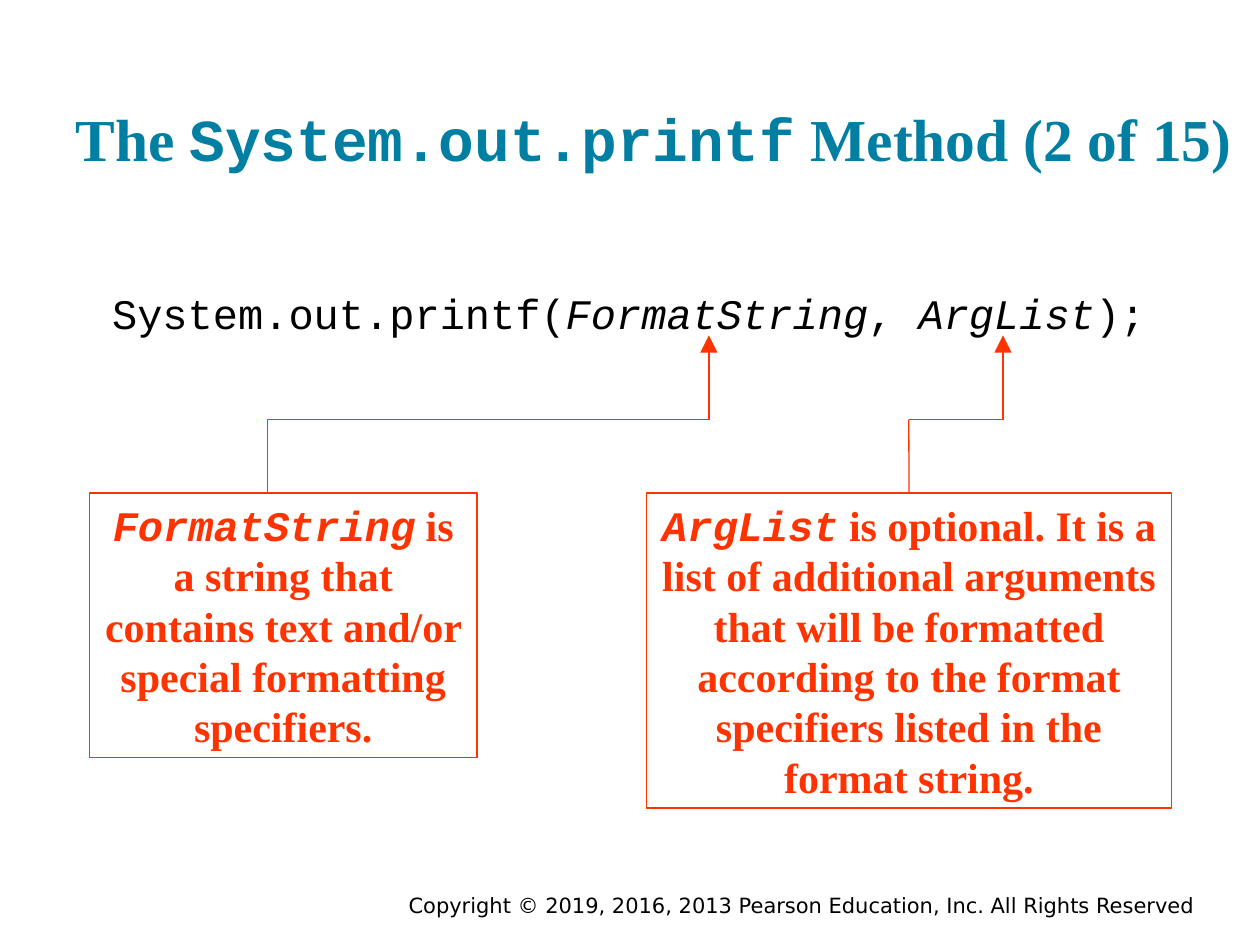
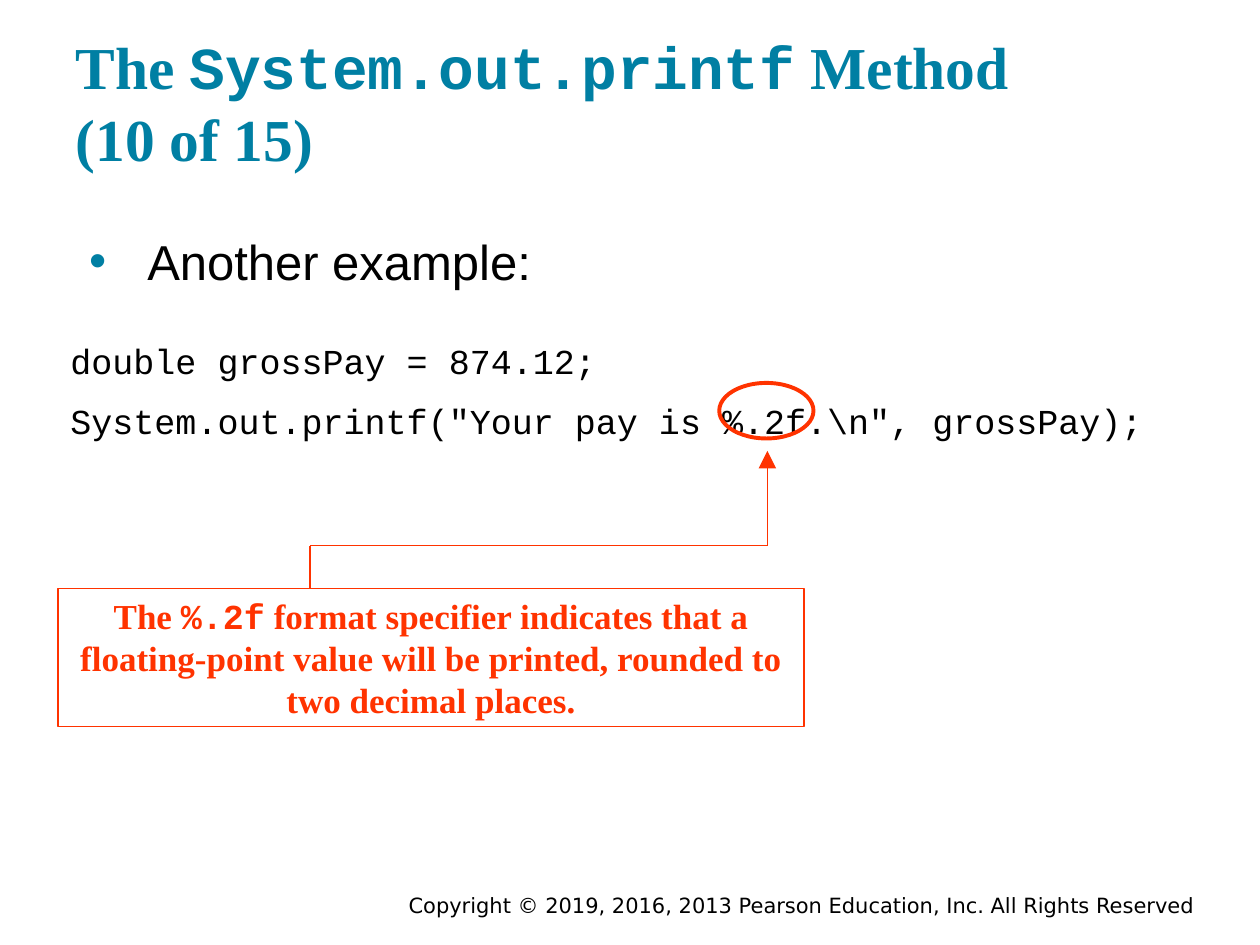
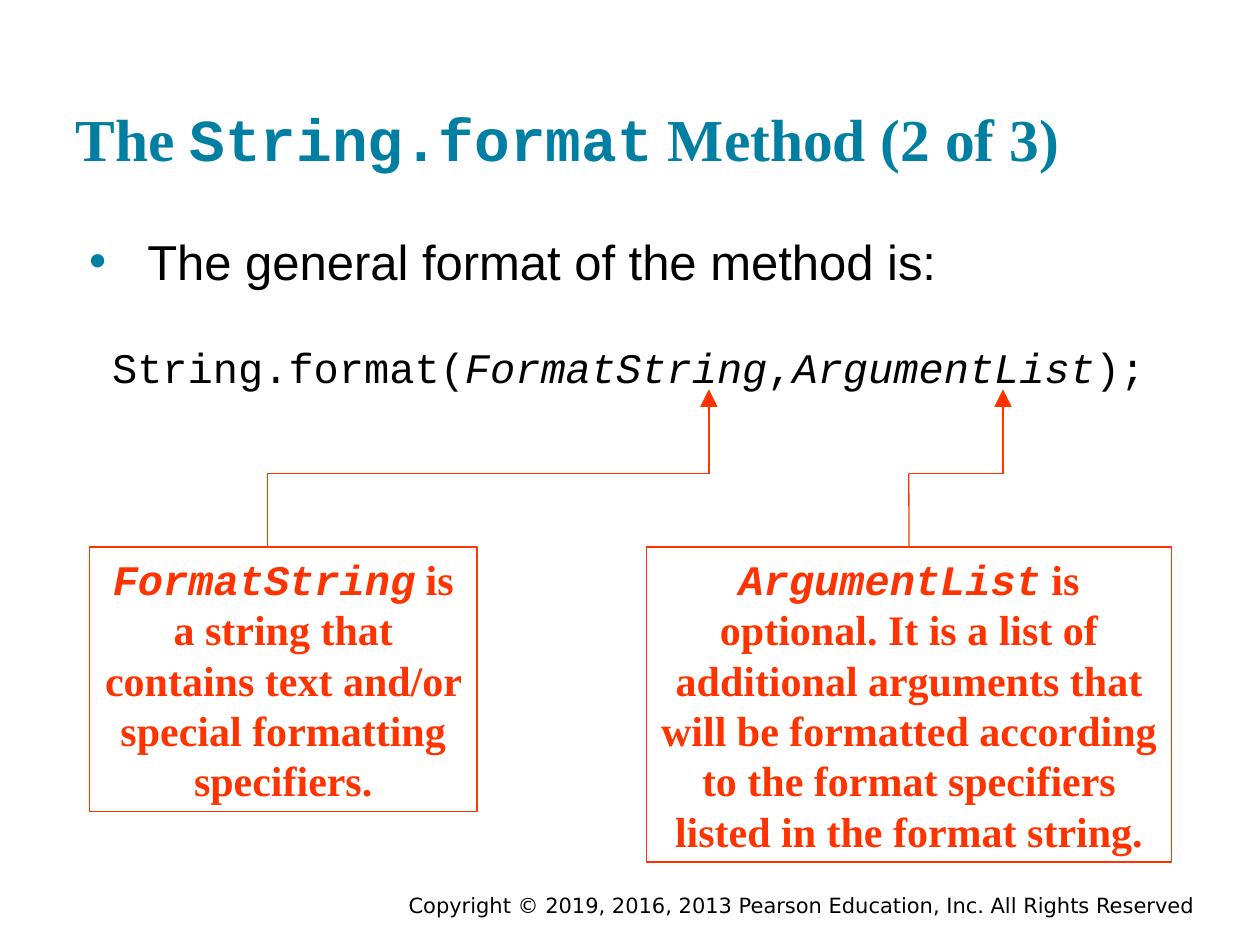
import dataclasses

import lxml.etree
import pptx
import pptx.dml.color
import pptx.enum.shapes
import pptx.enum.text
import pptx.oxml.ns
import pptx.util

Cm, Pt = pptx.util.Cm, pptx.util.Pt
RGBColor = pptx.dml.color.RGBColor
MSO_SHAPE = pptx.enum.shapes.MSO_SHAPE
PP_ALIGN = pptx.enum.text.PP_ALIGN
MSO_ANCHOR = pptx.enum.text.MSO_ANCHOR
qn = pptx.oxml.ns.qn


@dataclasses.dataclass(frozen=True)
class Theme:
    teal: RGBColor = RGBColor(0x00, 0x7F, 0xA3)
    red: RGBColor = RGBColor(0xFF, 0x33, 0x00)
    black: RGBColor = RGBColor(0, 0, 0)
    serif: str = "Times New Roman"
    code: str = "Courier New"
    body: str = "Arial"
    footer: str = "DejaVu Sans"
    title_size: int = 34
    body_size: int = 28
    footer_size: int = 12
    thin: float = 0.75
    thick: float = 2.25


theme = Theme()
SERIF, CODE, ARGUMENT = (theme.serif, False), (theme.code, False), (theme.code, True)
COPYRIGHT = "Copyright © 2019, 2016, 2013 Pearson Education, Inc. All Rights Reserved"
FORMAT_STRING_NOTE = [
    ("FormatString", ARGUMENT),
    (" is a string that contains text and/or special formatting specifiers.", SERIF),
]
OPTIONAL_NOTE = (
    " is optional. It is a list of additional arguments that will be formatted "
    "according to the format specifiers listed in the format string.", SERIF)

# Callout: left, width, height, arrow start x, arrow tip x, text.
# Levels: callout top, arrow bend and arrow tip, measured down from the code.
lessons = [
    dict(
        title=[("The ", SERIF), ("System.out.printf", CODE), (" Method (2 of 15)", SERIF)],
        title_width=23.93,
        bullet=None,
        code_at=(2.01, 5.49, 21.59, 3.02),
        code=[[("System.out.printf(", CODE), ("FormatString", ARGUMENT), (", ", CODE),
               ("ArgList", ARGUMENT), (");", CODE)]],
        size=24,
        levels=(4.45, 2.97, 1.27),
        callouts=[
            (1.8, 7.82, 5.33, 5.39, 14.29, FORMAT_STRING_NOTE),
            (13.03, 10.59, 6.35, 18.32, 20.22, [("ArgList", ARGUMENT), OPTIONAL_NOTE]),
        ],
        circled=None,
    ),
    dict(
        title=[("The ", SERIF), ("System.out.printf", CODE), (" Method\n(10 of 15)", SERIF)],
        title_width=22.86,
        bullet="Another example:",
        code_at=(1.17, 6.55, 23.06, 2.31),
        code=[[("double grossPay = 874.12;", CODE)],
              [('System.out.printf("Your pay is %.2f.\\n", grossPay);', CODE)]],
        size=20,
        levels=(5.31, 4.45, 2.54),
        callouts=[
            (1.17, 15.04, 2.79, 6.25, 15.47, [
                ("The ", SERIF), ("%.2f", CODE),
                (" format specifier indicates that a floating-point value will be "
                 "printed, rounded to two decimal places.", SERIF)]),
        ],
        circled=(14.5, 7.72, 1.9, 1.12),
    ),
    dict(
        title=[("The ", SERIF), ("String.format", CODE), (" Method (2 of 3)", SERIF)],
        title_width=22.86,
        bullet="The general format of the method is:",
        code_at=(2.01, 6.58, 21.59, 3.02),
        code=[[("String.format(", CODE), ("FormatString", ARGUMENT), (",", CODE),
               ("ArgumentList", ARGUMENT), (");", CODE)]],
        size=24,
        levels=(4.45, 2.97, 1.27),
        callouts=[
            (1.8, 7.82, 5.33, 5.39, 14.29, FORMAT_STRING_NOTE),
            (13.03, 10.59, 6.35, 18.32, 20.22, [("ArgumentList", ARGUMENT), OPTIONAL_NOTE]),
        ],
        circled=None,
    ),
]


def write(paragraph, pieces, size, color, bold=False, align=PP_ALIGN.LEFT):
    """Fill a paragraph with (text, (font name, italic)) pieces."""
    paragraph.alignment = align
    paragraph.font.size = Pt(size)
    paragraph.font.color.rgb = color
    paragraph.font.bold = bold
    if len(pieces) == 1:
        paragraph.font.name = pieces[0][1][0]
    for text, (font_name, italic) in pieces:
        for number, line in enumerate(text.split("\n")):
            if number:
                paragraph.add_line_break()
            run = paragraph.add_run()
            run.text = line
            if len(pieces) > 1:
                run.font.name = font_name
            if italic:
                run.font.italic = True


def add_outline(slide, preset, box, width):
    outline = slide.shapes.add_shape(preset, *map(Cm, box))
    outline.shadow.inherit = False
    outline.fill.background()
    outline.line.color.rgb = theme.red
    outline.line.width = Pt(width)
    return outline


prs = pptx.Presentation()
prs.slide_width, prs.slide_height = Cm(25.4), Cm(19.05)

for lesson in lessons:
    slide = prs.slides.add_slide(prs.slide_layouts[5])

    footer = slide.shapes.add_textbox(Cm(4.45), Cm(17.86), Cm(19.89), Cm(0.56)).text_frame
    footer.word_wrap = True
    write(footer.paragraphs[0], [(COPYRIGHT, (theme.footer, False))],
          theme.footer_size, theme.black, align=PP_ALIGN.RIGHT)

    title = slide.shapes.title
    title.left, title.top = Cm(1.27), Cm(0.69)
    title.width, title.height = Cm(lesson["title_width"]), Cm(3.05)
    heading = title.text_frame
    heading.auto_size = pptx.enum.text.MSO_AUTO_SIZE.NONE
    heading.vertical_anchor = MSO_ANCHOR.BOTTOM
    heading.margin_top = heading.margin_bottom = Cm(0.25)
    write(heading.paragraphs[0], lesson["title"], theme.title_size, theme.teal, bold=True)

    if lesson["bullet"]:
        body = slide.shapes.add_textbox(Cm(1.27), Cm(4.42), Cm(22.86), Cm(12.57)).text_frame
        body.word_wrap = True
        body.margin_top = body.margin_bottom = Cm(0.25)
        point = body.paragraphs[0]
        properties = point._p.get_or_add_pPr()
        properties.set("marL", str(Cm(1.45)))
        properties.set("indent", str(-Cm(1.17)))
        bullet_color = lxml.etree.SubElement(properties, qn("a:buClr"))
        lxml.etree.SubElement(bullet_color, qn("a:srgbClr"), val=str(theme.teal))
        lxml.etree.SubElement(properties, qn("a:buFont"), typeface=theme.body)
        lxml.etree.SubElement(properties, qn("a:buChar"), char="•")
        write(point, [(lesson["bullet"], (theme.body, False))], theme.body_size, theme.black)

    code = slide.shapes.add_textbox(*map(Cm, lesson["code_at"])).text_frame
    code.word_wrap = True
    code.margin_top = Cm(0.3)
    for number, statement in enumerate(lesson["code"]):
        line = code.add_paragraph() if number else code.paragraphs[0]
        if number:
            line.space_before = Pt(10)
        write(line, statement, lesson["size"], theme.black)

    if lesson["circled"]:
        add_outline(slide, MSO_SHAPE.OVAL, lesson["circled"], theme.thick)

    top, bend, tip = (lesson["code_at"][1] + level for level in lesson["levels"])
    for left, width, height, start_x, tip_x, note in lesson["callouts"]:
        callout = add_outline(slide, MSO_SHAPE.RECTANGLE, (left, top, width, height), theme.thin)
        callout.text_frame.word_wrap = True
        callout.text_frame.vertical_anchor = MSO_ANCHOR.TOP
        write(callout.text_frame.paragraphs[0], note, lesson["size"], theme.red,
              bold=True, align=PP_ALIGN.CENTER)

        corners = [(start_x, top), (start_x, bend), (tip_x, bend), (tip_x, tip)]
        for begin, end in zip(corners, corners[1:]):
            segment = slide.shapes.add_connector(
                pptx.enum.shapes.MSO_CONNECTOR.STRAIGHT, *map(Cm, begin + end))
            segment.line.color.rgb = theme.red
            segment.line.width = Pt(theme.thin)
            lxml.etree.SubElement(segment._element.spPr, qn("a:effectLst"))
            if begin == corners[0] and abs(start_x - left - width / 2) < 0.05:
                segment.begin_connect(callout, 0)
            if end == corners[-1]:
                lxml.etree.SubElement(segment.line._get_or_add_ln(), qn("a:tailEnd"),
                                      type="triangle", w="lg", len="lg")

prs.save("out.pptx")
